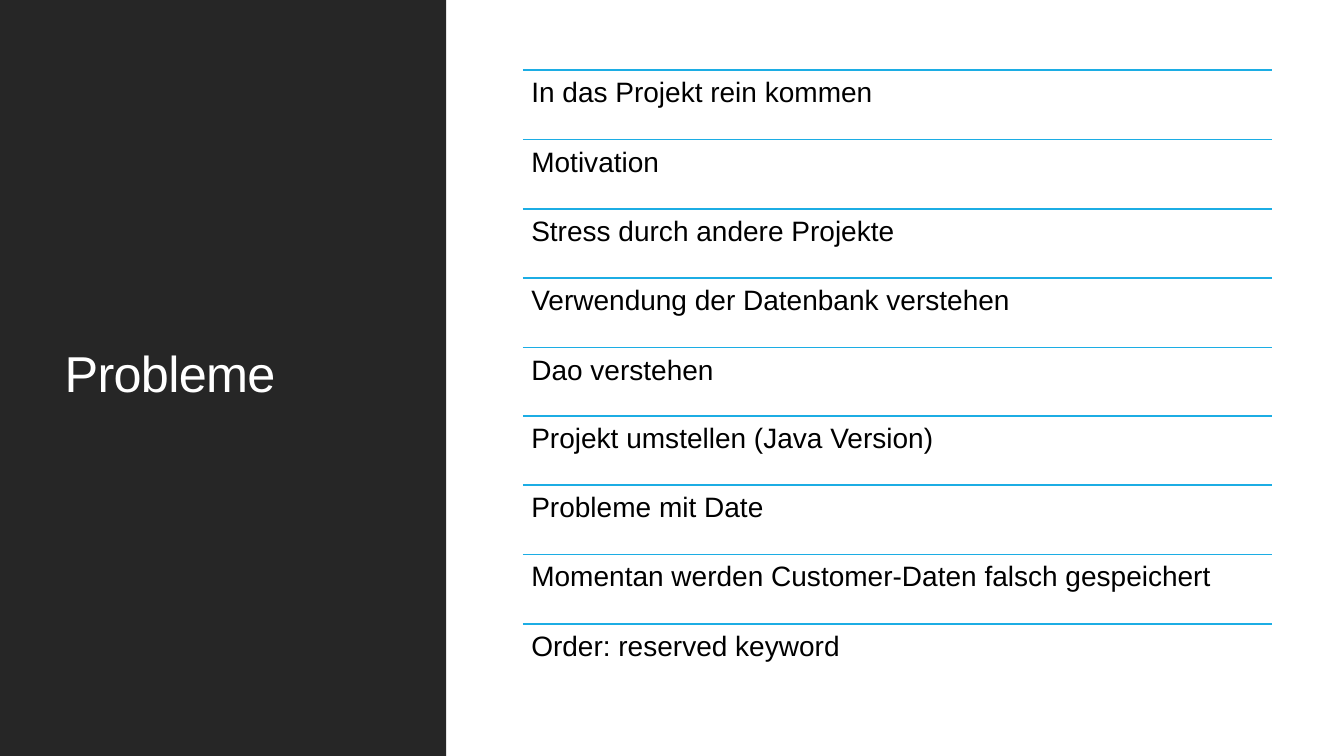
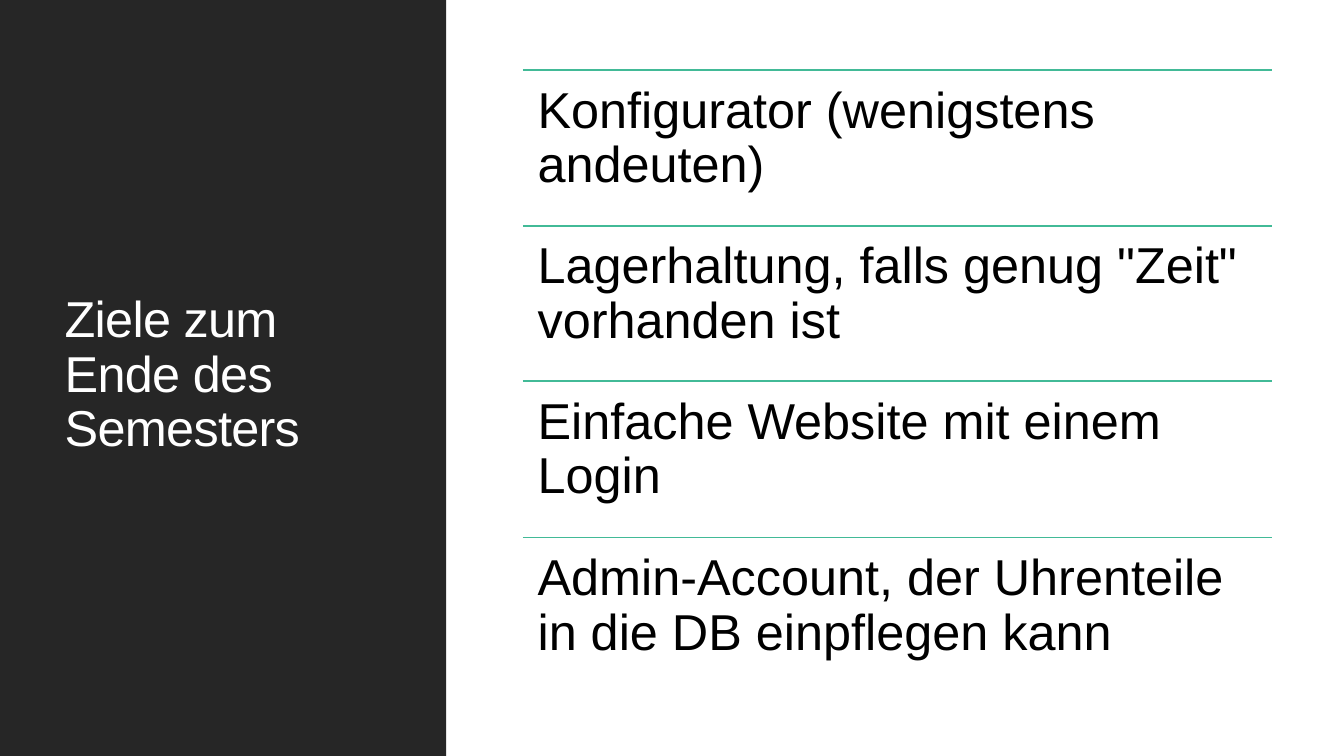
from dataclasses import dataclass

from lxml import etree
from pptx import Presentation
from pptx.dml.color import RGBColor
from pptx.enum.shapes import MSO_CONNECTOR, MSO_SHAPE
from pptx.enum.text import MSO_ANCHOR, MSO_AUTO_SIZE, PP_ALIGN
from pptx.oxml.ns import qn
from pptx.util import Emu, Pt

RECT = MSO_SHAPE.RECTANGLE
STRAIGHT = MSO_CONNECTOR.STRAIGHT
TOP, MIDDLE = MSO_ANCHOR.TOP, MSO_ANCHOR.MIDDLE
NO_AUTOFIT = MSO_AUTO_SIZE.NONE
LEFT = PP_ALIGN.LEFT

EMU_PER_PX = 9525
SLIDE_W, SLIDE_H = 1280, 720
PANEL_W = 425
TITLE_BOX = (52, 55, 324, 606)
LIST_X, LIST_Y, LIST_W, LIST_H = 498, 67, 713, 593
TITLE_ONLY = 5

FONT = "Arial"
DARK, WHITE, BLACK = "262626", "FFFFFF", "000000"
BLUE, GREEN = "1CADE4", "42BA97"


@dataclass(frozen=True)
class RuledList:
    title: str
    rule_color: str
    size: int
    inset: int
    items: tuple[str, ...]


SLIDES = (
    RuledList("Probleme", BLUE, 20, 8, (
        "In das Projekt rein kommen",
        "Motivation",
        "Stress durch andere Projekte",
        "Verwendung der Datenbank verstehen",
        "Dao verstehen",
        "Projekt umstellen (Java Version)",
        "Probleme mit Date",
        "Momentan werden Customer-Daten falsch gespeichert",
        "Order: reserved keyword",
    )),
    RuledList("Ziele zum Ende des Semesters", GREEN, 36, 14, (
        "Konfigurator (wenigstens andeuten)",
        'Lagerhaltung, falls genug "Zeit" vorhanden ist',
        "Einfache Website mit einem Login",
        "Admin-Account, der Uhrenteile in die DB einpflegen kann",
    )),
)


def px(n: int) -> Emu:
    return Emu(n * EMU_PER_PX)


def rgb(color: str) -> RGBColor:
    return RGBColor.from_string(color)


def write(sp, text: str, *, size: int, color: str, anchor=TOP,
          inset: int | None = None, spacing: float = 0) -> None:
    """Fill a shape with one paragraph; spacing is between letters, in points."""
    tf = sp.text_frame
    tf.word_wrap = True
    tf.auto_size = NO_AUTOFIT
    tf.vertical_anchor = anchor
    if inset is not None:
        tf.margin_left = tf.margin_right = px(inset)
        tf.margin_top = tf.margin_bottom = px(inset)
    p = tf.paragraphs[0]
    p.alignment = LEFT
    p.line_spacing = 0.9
    r = p.add_run()
    r.text = text
    r.font.name = FONT
    r.font.size = Pt(size)
    r.font.color.rgb = rgb(color)
    if spacing:
        r._r.get_or_add_rPr().set("spc", str(round(spacing * 100)))


def add_panel(slide) -> None:
    sp = slide.shapes.add_shape(RECT, 0, 0, px(PANEL_W), px(SLIDE_H))
    sp.shadow.inherit = False
    sp.fill.solid()
    sp.fill.fore_color.rgb = rgb(DARK)
    sp.line.fill.background()


def add_title(slide, text: str) -> None:
    """Place the title placeholder in front of the panel."""
    title = slide.shapes.title
    slide.shapes.element.append(title.element)
    title.left, title.top, title.width, title.height = map(px, TITLE_BOX)
    write(title, text, size=36, color=WHITE, anchor=MIDDLE, spacing=-0.5)


def add_rule(slide, y: int, color: str) -> None:
    line = slide.shapes.add_connector(
        STRAIGHT, px(LIST_X), px(y), px(LIST_X + LIST_W), px(y))
    line.line.color.rgb = rgb(color)
    line.line.width = Pt(1.25)
    etree.SubElement(line.element.spPr, qn("a:effectLst"))


def add_ruled_list(slide, content: RuledList) -> None:
    count = len(content.items)
    for i, item in enumerate(content.items):
        y = LIST_Y + round(i * LIST_H / count)
        add_rule(slide, y, content.rule_color)
        box = slide.shapes.add_textbox(
            px(LIST_X), px(y), px(LIST_W), px(LIST_H // count))
        write(box, item, size=content.size, color=BLACK, inset=content.inset)


def main() -> None:
    prs = Presentation()
    prs.slide_width, prs.slide_height = px(SLIDE_W), px(SLIDE_H)
    for content in SLIDES:
        slide = prs.slides.add_slide(prs.slide_layouts[TITLE_ONLY])
        add_panel(slide)
        add_title(slide, content.title)
        add_ruled_list(slide, content)
    prs.save("out.pptx")


if __name__ == "__main__":
    main()
